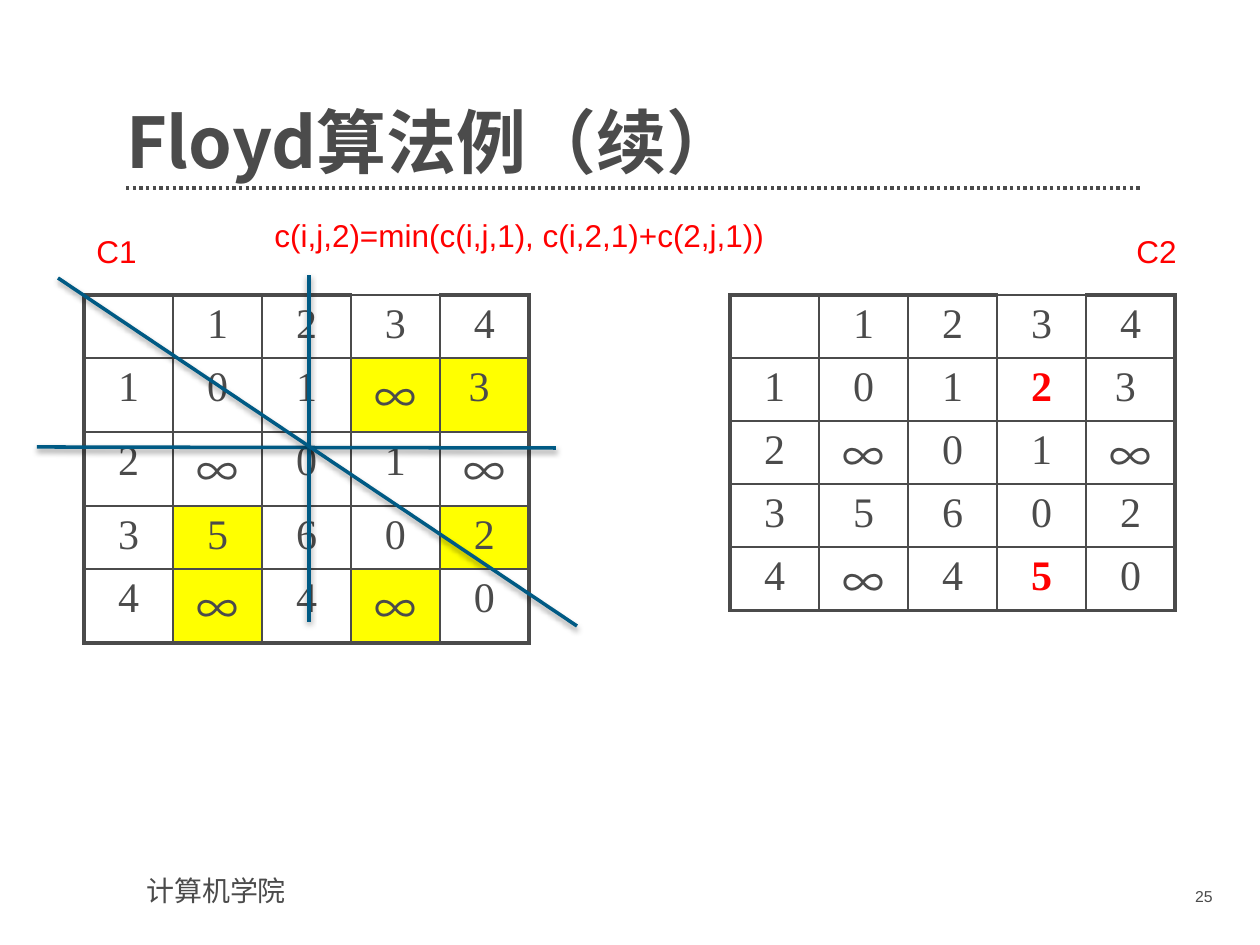
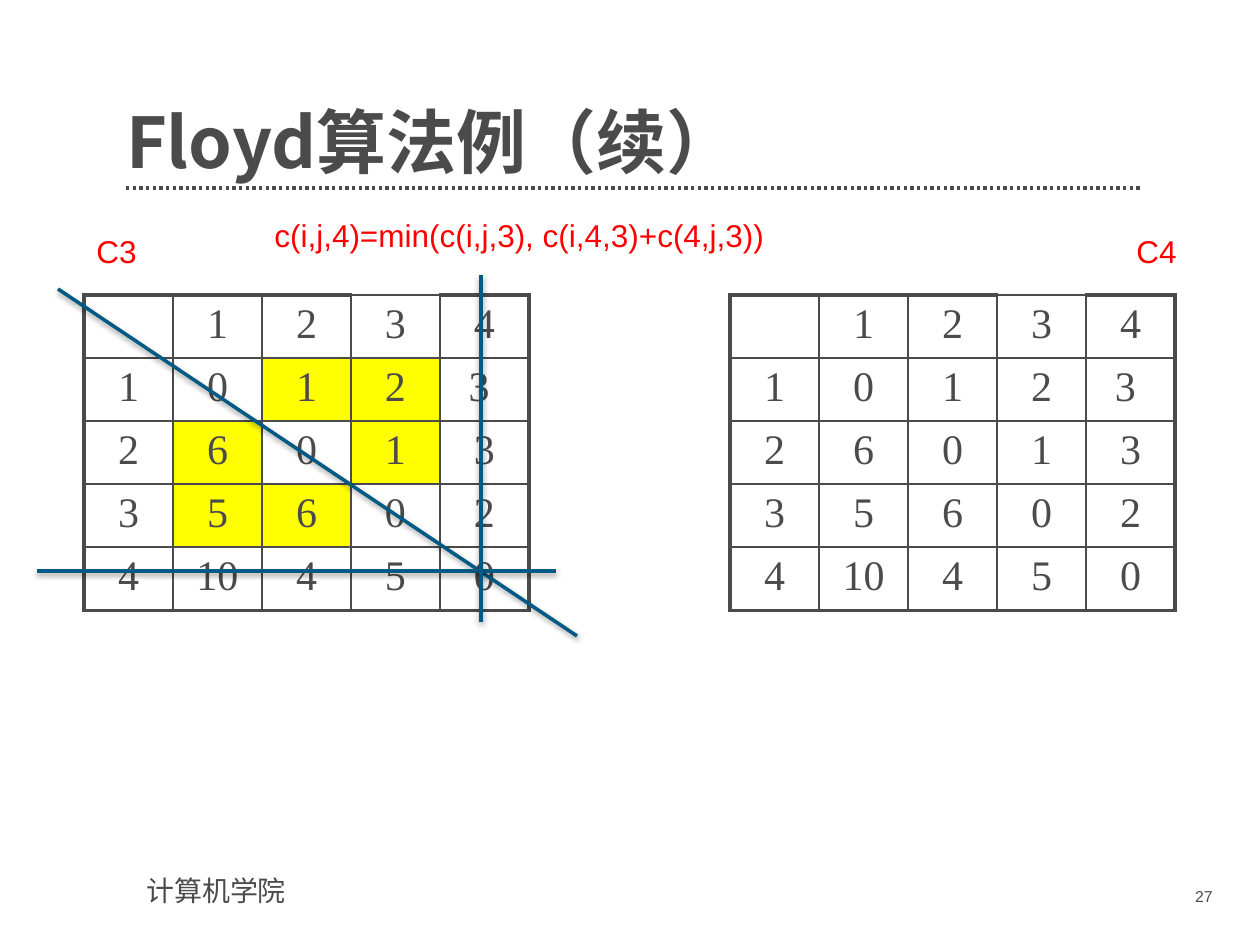
"""Build two slides that step through Floyd's shortest path algorithm."""
from dataclasses import dataclass

from lxml import etree
from pptx import Presentation
from pptx.dml.color import RGBColor
from pptx.enum.dml import MSO_LINE
from pptx.enum.shapes import MSO_CONNECTOR
from pptx.enum.text import MSO_ANCHOR, PP_ALIGN
from pptx.oxml import parse_xml
from pptx.oxml.ns import qn
from pptx.util import Pt

STRAIGHT = MSO_CONNECTOR.STRAIGHT
DOTTED = MSO_LINE.ROUND_DOT
TOP, BOTTOM = MSO_ANCHOR.TOP, MSO_ANCHOR.BOTTOM
LEFT, CENTER, RIGHT = PP_ALIGN.LEFT, PP_ALIGN.CENTER, PP_ALIGN.RIGHT
PX = 914400 / 126
NS = "http://schemas.openxmlformats.org/drawingml/2006/main"


@dataclass(frozen=True)
class Theme:
    ink: str = "4B4B4B"
    accent: str = "FF0000"
    highlight: str = "FFFF00"
    strike: str = "005A84"
    sans: str = "Arial"
    serif: str = "Times New Roman"
    cjk: str = "Noto Sans CJK SC"
    title: int = 40
    matrix: int = 24
    label: int = 18
    footer: int = 16
    number: int = 9
    thin: float = 1
    thick: float = 2.25


THEME = Theme()
SHADOW = (
    f'<a:effectLst xmlns:a="{NS}"><a:outerShdw blurRad="40000" dist="20000" dir="5400000" '
    'rotWithShape="0"><a:srgbClr val="000000"><a:alpha val="38000"/></a:srgbClr>'
    '</a:outerShdw></a:effectLst>'
)
COLUMN_WIDTH = 89
SYMBOL_ROW = 74
MATRIX_TOP = 295

STEPS = [
    {
        "page": "25",
        "formula": "c(i,j,2)=min(c(i,j,1), c(i,2,1)+c(2,j,1))",
        "strikes": [(37, 447, 556, 448), (309, 622, 309, 275), (58, 278, 577, 626)],
        "matrices": [
            {
                "name": "C1", "left": 84, "label_left": 84,
                "heights": [59, 74, 74, 59, 74],
                "rows": [",1,2,3,4", "1,0,1,∞,3 ", "2,∞,0,1,∞", "3,5,6,0,2", "4,∞,4,∞,0"],
                "marked": {(1, 3), (1, 4), (3, 1), (3, 4), (4, 1), (4, 3)},
                "changed": set(),
            },
            {
                "name": "C2", "left": 730, "label_left": 1124,
                "heights": [63] * 5,
                "rows": [",1,2,3,4", "1,0,1,2,3 ", "2,∞,0,1,∞", "3,5,6,0,2", "4,∞,4,5,0"],
                "marked": set(),
                "changed": {(1, 3), (4, 3)},
            },
        ],
    },
    {
        "page": "27",
        "formula": "c(i,j,4)=min(c(i,j,3), c(i,4,3)+c(4,j,3))",
        "strikes": [(58, 289, 577, 636), (37, 571, 556, 571), (481, 622, 481, 275)],
        "matrices": [
            {
                "name": "C3", "left": 84, "label_left": 84,
                "heights": [59] * 5,
                "rows": [",1,2,3,4", "1,0,1,2,3 ", "2,6,0,1,3", "3,5,6,0,2", "4,10,4,5,0"],
                "marked": {(1, 2), (1, 3), (2, 1), (2, 3), (3, 1), (3, 2)},
                "changed": set(),
            },
            {
                "name": "C4", "left": 730, "label_left": 1124,
                "heights": [63] * 5,
                "rows": [",1,2,3,4", "1,0,1,2,3 ", "2,6,0,1,3", "3,5,6,0,2", "4,10,4,5,0"],
                "marked": set(),
                "changed": set(),
            },
        ],
    },
]


def write(frame, text, size, color, face, align=LEFT, bold=False):
    """Put one formatted line of text in a frame."""
    frame.text = text
    paragraph = frame.paragraphs[0]
    paragraph.alignment = align
    for run in paragraph.runs:
        run.font.size = Pt(size)
        run.font.bold = bold
        run.font.color.rgb = RGBColor.from_string(color)
        run.font.name = face
        east_asian = etree.SubElement(run.font._element, qn("a:ea"))
        east_asian.set("typeface", THEME.cjk)
    return paragraph


def draw_line(slide, ends, color, width):
    """Draw a straight connector between two points given in px."""
    line = slide.shapes.add_connector(STRAIGHT, *(round(v * PX) for v in ends))
    line.line.color.rgb = RGBColor.from_string(color)
    line.line.width = Pt(width)
    return line


deck = Presentation()
deck.slide_width, deck.slide_height = round(1260 * PX), round(945 * PX)

for step in STEPS:
    slide = deck.slides.add_slide(deck.slide_layouts[6])

    rule = draw_line(slide, (126, 188, 1142, 188), THEME.ink, 1.9)
    rule.line.dash_style = DOTTED
    etree.SubElement(rule._element.spPr, qn("a:effectLst"))

    texts = [
        ("计算机学院", (134, 867, 323, 47), THEME.footer, THEME.ink, THEME.sans, LEFT),
        ("Floyd算法例（续）", (126, 69, 1016, 115), THEME.title, THEME.ink, THEME.cjk, LEFT),
        (step["formula"], (262, 210, 955, 50), THEME.label, THEME.accent, THEME.sans, LEFT),
        (step["page"], (1100, 881, 125, 37), THEME.number, THEME.ink, THEME.sans, RIGHT),
    ]
    for matrix in step["matrices"]:
        label_box = (matrix["label_left"], 226, 95, 50)
        texts.append((matrix["name"], label_box, THEME.label, THEME.accent, THEME.sans, LEFT))

    for text, box, size, color, face, align in texts:
        frame = slide.shapes.add_textbox(*(round(v * PX) for v in box)).text_frame
        frame.word_wrap = True
        is_title = size == THEME.title
        frame.vertical_anchor = BOTTOM if is_title else TOP
        paragraph = write(frame, text, size, color, face, align, is_title)
        if is_title:
            paragraph.line_spacing = 0.9
            frame.margin_left = frame.margin_right = 0
            frame.margin_top = frame.margin_bottom = 0

    for matrix in step["matrices"]:
        heights = matrix["heights"]
        box = (matrix["left"], MATRIX_TOP, 5 * COLUMN_WIDTH, sum(heights))
        grid = slide.shapes.add_table(5, 5, *(round(v * PX) for v in box)).table
        grid.first_row = grid.horz_banding = False
        for column in grid.columns:
            column.width = round(COLUMN_WIDTH * PX)

        for r, values in enumerate(matrix["rows"]):
            grid.rows[r].height = round(heights[r] * PX)
            for c, value in enumerate(values.split(",")):
                cell = grid.cell(r, c)
                outer = {"L": c == 0, "R": c == 4, "T": r == 0 and c != 3, "B": r == 4}
                for side, is_outer in outer.items():
                    width = Pt(THEME.thick if is_outer else THEME.thin)
                    cell._tc.get_or_add_tcPr().append(parse_xml(
                        f'<a:ln{side} xmlns:a="{NS}" w="{width}"><a:solidFill>'
                        f'<a:srgbClr val="{THEME.ink}"/></a:solidFill></a:ln{side}>'))

                if (r, c) in matrix["marked"]:
                    cell.fill.solid()
                    cell.fill.fore_color.rgb = RGBColor.from_string(THEME.highlight)
                else:
                    cell.fill.background()

                if value:
                    changed = (r, c) in matrix["changed"]
                    color = THEME.accent if changed else THEME.ink
                    face = THEME.cjk if value == "∞" else THEME.serif
                    paragraph = write(cell.text_frame, value, THEME.matrix, color, face,
                                      CENTER, changed)
                    if value == "∞" and heights[r] < SYMBOL_ROW:
                        paragraph.line_spacing = 0.92
                        cell.margin_bottom = 0

    for ends in step["strikes"]:
        strike = draw_line(slide, ends, THEME.strike, 2)
        strike._element.spPr.append(parse_xml(SHADOW))

deck.save("out.pptx")
